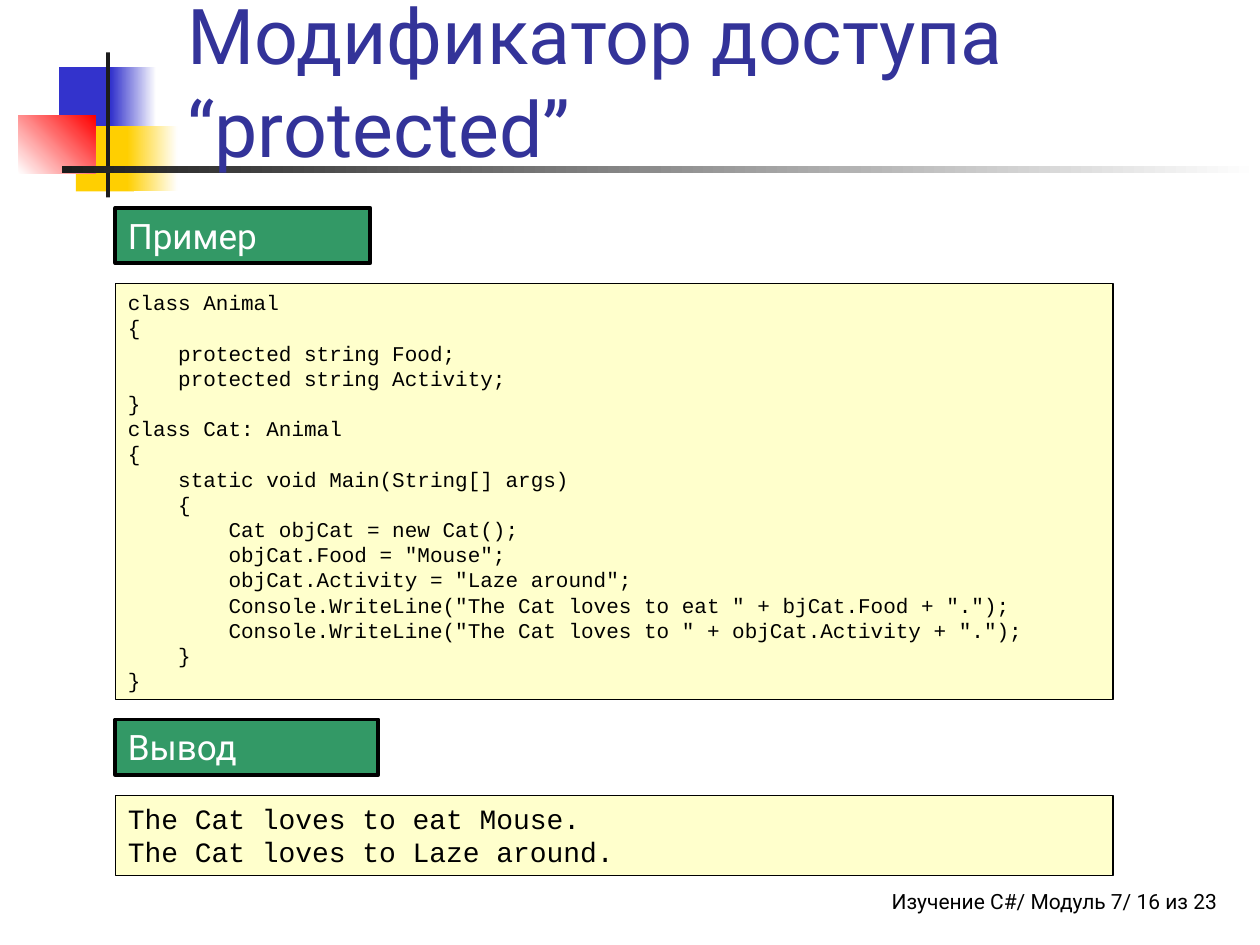
from pptx import Presentation
from pptx.dml.color import RGBColor
from pptx.enum.shapes import MSO_SHAPE
from pptx.enum.text import MSO_ANCHOR, MSO_AUTO_SIZE, PP_ALIGN
from pptx.util import Pt

COLORS = {
    "blue": "3333CC",
    "yellow": "FFCF01",
    "red": "FF0000",
    "charcoal": "1C1C1C",
    "white": "FFFFFF",
    "black": "000000",
    "title": "333399",
    "label": "339966",
    "code": "FFFFCC",
}
SANS = "Roboto"
MONO = "Courier New"

CODE = """class Animal
{
    protected string Food;
    protected string Activity;
}
class Cat: Animal
{
    static void Main(String[] args)
    {
        Cat objCat = new Cat();
        objCat.Food = "Mouse";
        objCat.Activity = "Laze around";
        Console.WriteLine("The Cat loves to eat " + bjCat.Food + ".");
        Console.WriteLine("The Cat loves to " + objCat.Activity + ".");
    }
}"""
OUTPUT = "The Cat loves to eat Mouse.\nThe Cat loves to Laze around."


def color(name):
    return RGBColor.from_string(COLORS[name])


def write(text_frame, text, font_name, size, color_name, alignment=PP_ALIGN.LEFT):
    """Fill a text frame and format every run alike."""
    text_frame.word_wrap = True
    text_frame.text = text
    for paragraph in text_frame.paragraphs:
        paragraph.alignment = alignment
        for run in paragraph.runs:
            run.font.name = font_name
            run.font.size = Pt(size)
            run.font.color.rgb = color(color_name)


presentation = Presentation()
presentation.slide_width = Pt(720)
presentation.slide_height = Pt(540)
slide = presentation.slides.add_slide(presentation.slide_layouts[5])

# Decoration: left, top, width, height, start colour, end colour, angle
decoration = [
    (33.8, 38.4, 34.6, 37.2, "blue", None, 0),
    (63.4, 38.4, 25.9, 37.2, "blue", "white", 0),
    (43.4, 72, 33.1, 37.4, "yellow", None, 0),
    (72.7, 72, 28.8, 37.4, "yellow", "white", 0),
    (10.6, 66, 43.9, 33.4, "white", "red", 45),
    (60.6, 30, 2.2, 82.8, "charcoal", None, 0),
    (35.4, 94.9, 684.6, 4.2, "charcoal", "white", 0),
]
for left, top, width, height, start, end, angle in decoration:
    shape = slide.shapes.add_shape(
        MSO_SHAPE.RECTANGLE, Pt(left), Pt(top), Pt(width), Pt(height))
    shape.shadow.inherit = False
    shape.line.fill.background()
    if end is None:
        shape.fill.solid()
        shape.fill.fore_color.rgb = color(start)
    else:
        shape.fill.gradient()
        shape.fill.gradient_angle = angle
        for stop, name in zip(shape.fill.gradient_stops, (start, end)):
            stop.color.rgb = color(name)

# The title lies over the decoration
title = slide.shapes.title
title.element.getparent().append(title.element)
title.left, title.top, title.width, title.height = Pt(100), Pt(12.2), Pt(613.5), Pt(90)
title.text_frame.auto_size = MSO_AUTO_SIZE.NONE
title.text_frame.vertical_anchor = MSO_ANCHOR.BOTTOM
write(title.text_frame, "Модификатор доступа “protected”", SANS, 44, "title")

# Panels: top, width, height, fill, line width, text, font, size, text colour
panels = [
    (118.8, 145.6, 31.7, "label", 2.25, "Пример", SANS, 20, "white"),
    (162, 570, 237.6, "code", 0.75, CODE, MONO, 12, "black"),
    (411.2, 150.3, 31.7, "label", 2.25, "Вывод", SANS, 20, "white"),
    (454.4, 570, 46, "code", 0.75, OUTPUT, MONO, 16, "black"),
]
for top, width, height, fill, line_width, text, font_name, size, text_color in panels:
    panel = slide.shapes.add_shape(
        MSO_SHAPE.RECTANGLE, Pt(66), Pt(top), Pt(width), Pt(height))
    panel.shadow.inherit = False
    panel.fill.solid()
    panel.fill.fore_color.rgb = color(fill)
    panel.line.color.rgb = color("black")
    panel.line.width = Pt(line_width)
    panel.text_frame.vertical_anchor = MSO_ANCHOR.TOP
    panel.text_frame.auto_size = MSO_AUTO_SIZE.SHAPE_TO_FIT_TEXT
    write(panel.text_frame, text, font_name, size, text_color)

footer = slide.shapes.add_textbox(Pt(329.8), Pt(504), Pt(365.8), Pt(23.8))
footer.text_frame.margin_right = 0
write(footer.text_frame, "Изучение C#/ Модуль 7/ 16 из 23", SANS, 12, "black", PP_ALIGN.RIGHT)

presentation.save("out.pptx")
